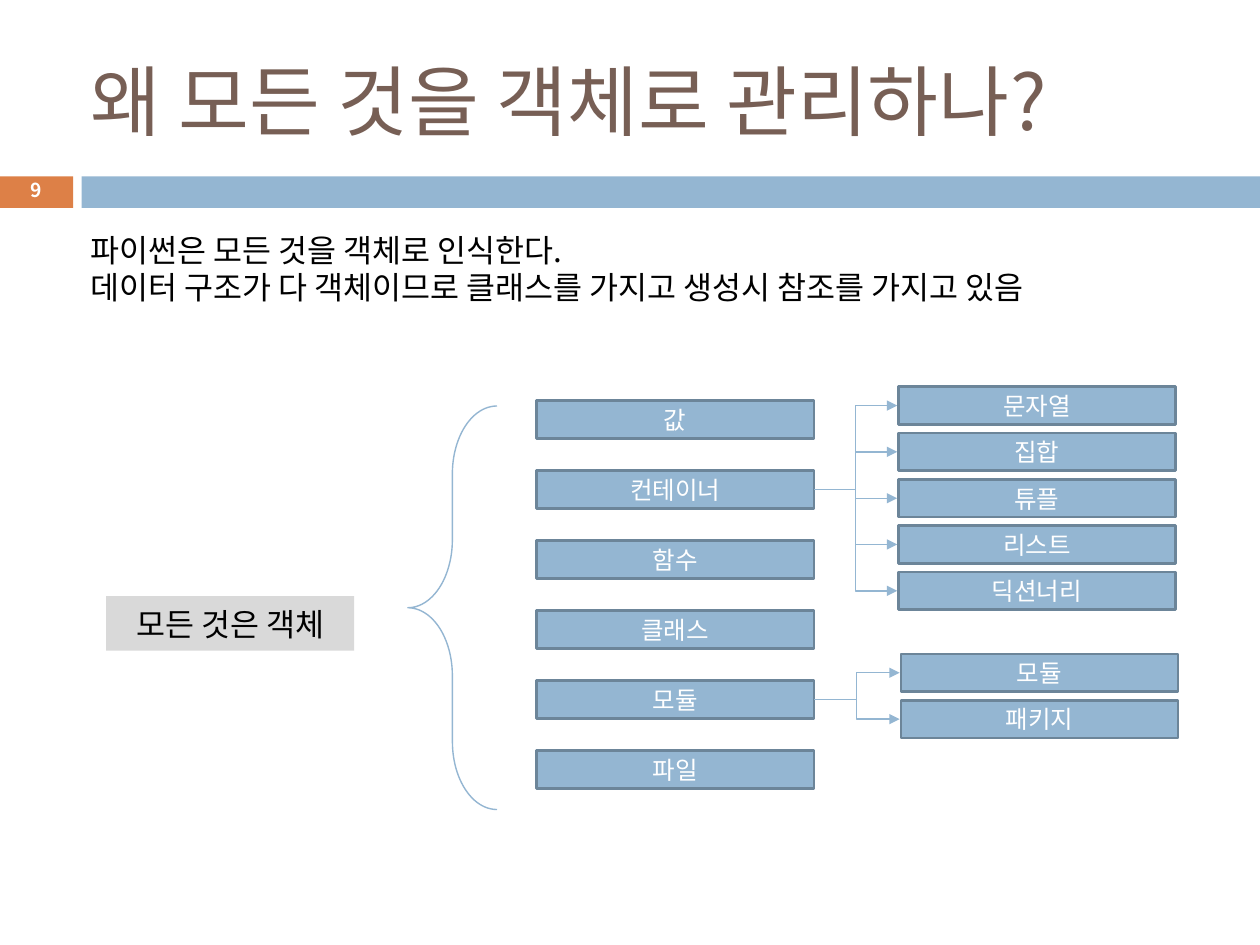
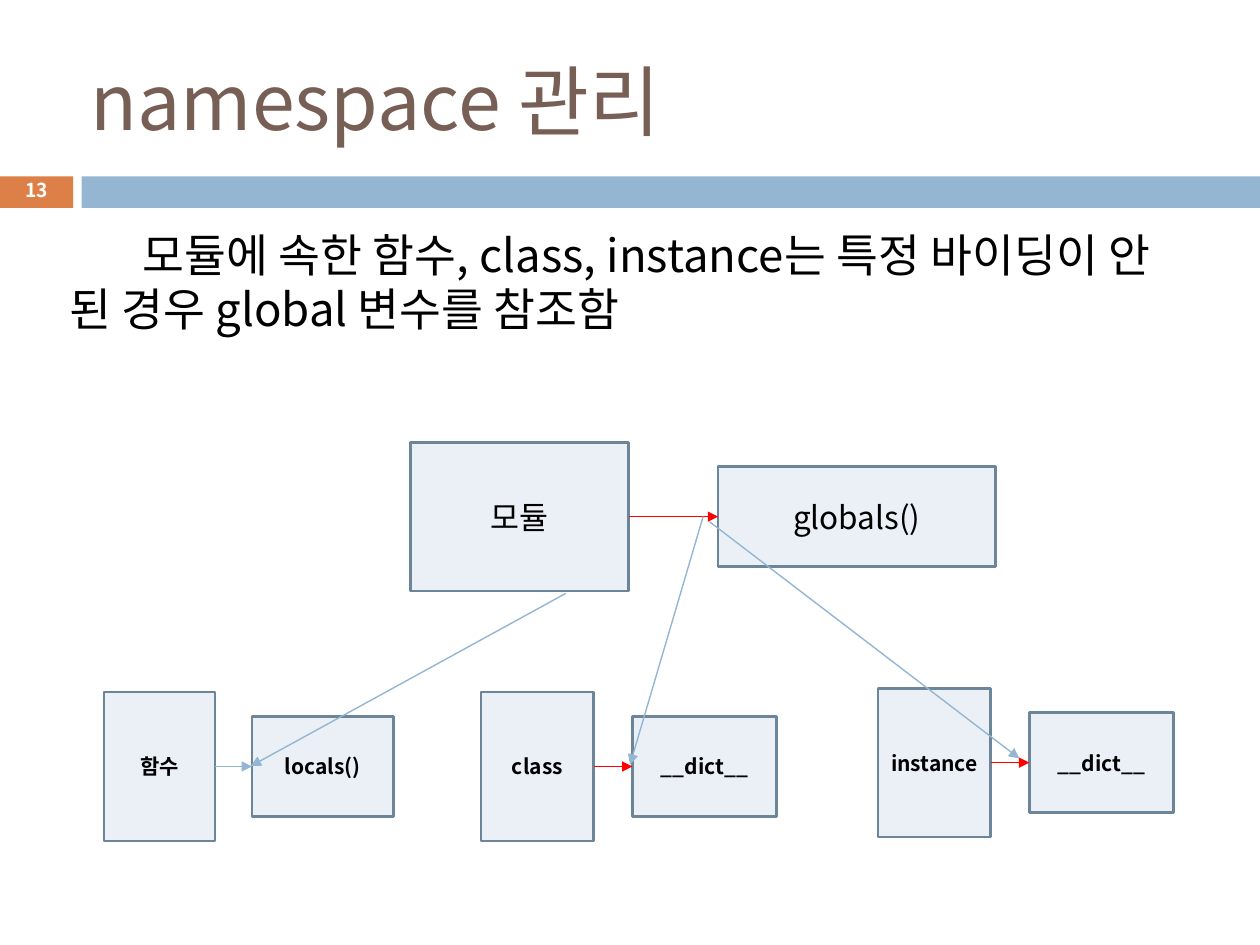
from lxml.etree import SubElement
from pptx import Presentation
from pptx.dml.color import RGBColor
from pptx.enum.shapes import MSO_CONNECTOR, MSO_SHAPE
from pptx.enum.text import MSO_ANCHOR, MSO_AUTO_SIZE, PP_ALIGN
from pptx.oxml.ns import qn
from pptx.util import Pt

FONT = "Noto Sans CJK KR"
BLUE, ORANGE, BROWN, EDGE = "94B6D2", "DD8047", "775F55", "6C8599"
PALE, GREY, RED, BLACK, WHITE = "EAF0F6", "D9D9D9", "FF0000", "000000", "FFFFFF"
rgb = RGBColor.from_string


def write(sp, lines, size, color, bold=False, align=PP_ALIGN.CENTER, anchor=MSO_ANCHOR.MIDDLE):
    tf = sp.text_frame
    tf.word_wrap = True
    tf.auto_size = MSO_AUTO_SIZE.NONE
    tf.vertical_anchor = anchor
    tf.margin_left = tf.margin_right = tf.margin_top = tf.margin_bottom = Pt(3.6)
    for i, line in enumerate(lines):
        p = tf.add_paragraph() if i else tf.paragraphs[0]
        p.alignment = align
        r = p.add_run()
        r.text = line
        r.font.size = Pt(size)
        r.font.bold = bold
        r.font.color.rgb = rgb(color)
        r.font.name = FONT
        SubElement(r.font._element, qn("a:ea"), typeface=FONT)
    return tf


def draw(s, kind, x, y, w, h, fill=None, line=None, weight=1.5):
    """Add a preset shape, or, for a connector kind, an arrow spanning w by h."""
    if kind in (MSO_CONNECTOR.STRAIGHT, MSO_CONNECTOR.ELBOW) and fill is None:
        sp = s.shapes.add_connector(kind, Pt(x), Pt(y), Pt(x + w), Pt(y + h))
        SubElement(sp.line._get_or_add_ln(), qn("a:tailEnd"), type="triangle")
        sp.line.color.rgb = rgb(line)
        sp.line.width = Pt(weight)
        SubElement(sp._element.spPr, qn("a:effectLst"))
        return sp
    sp = s.shapes.add_shape(kind, Pt(x), Pt(y), Pt(w), Pt(h))
    sp.shadow.inherit = False
    if fill:
        sp.fill.solid()
        sp.fill.fore_color.rgb = rgb(fill)
    else:
        sp.fill.background()
    if line:
        sp.line.color.rgb = rgb(line)
        sp.line.width = Pt(weight)
    else:
        sp.line.fill.background()
    return sp


RECT = MSO_SHAPE.RECTANGLE
THIN = 0.79

prs = Presentation()
prs.slide_width, prs.slide_height = Pt(720), Pt(540)

# Shared frame: title, bands and slide number
slides = []
for title, number in [("왜 모든 것을 객체로 관리하나?", "9"), ("namespace 관리", "13")]:
    s = prs.slides.add_slide(prs.slide_layouts[5])
    sp = s.shapes.title
    sp.left, sp.top, sp.width, sp.height = Pt(48.2), Pt(18), Pt(642), Pt(78)
    write(sp, [title], 44, BROWN, align=PP_ALIGN.LEFT)
    draw(s, RECT, 46.6, 100.8, 673.4, 18, BLUE)
    sp = draw(s, RECT, 0, 100.8, 41.8, 18, ORANGE)
    tf = write(sp, [number], 11, WHITE, bold=True)
    tf.paragraphs[0].line_spacing = 0.8
    slides.append(s)

# Slide 1: everything is an object
s = slides[0]
sp = s.shapes.add_textbox(Pt(48.2), Pt(128.2), Pt(629), Pt(51))
write(sp, ["파이썬은 모든 것을 객체로 인식한다.",
           "데이터 구조가 다 객체이므로 클래스를 가지고 생성시 참조를 가지고 있음"],
      18, BLACK, align=PP_ALIGN.LEFT, anchor=MSO_ANCHOR.TOP)
write(draw(s, RECT, 60.6, 340.6, 141.8, 31.2, GREY), ["모든 것은 객체"], 18, BLACK)

brace = draw(s, MSO_SHAPE.LEFT_BRACE, 233, 232, 51, 230.6, line=BLUE, weight=THIN)
brace.adjustments[0] = 0.76

# Columns of boxes: left, top, pitch, labels
BOX_W, BOX_H = 158.4, 21.6
KINDS = (306.7, 229, 40, ["값", "컨테이너", "함수", "클래스", "모듈", "파일"])
CONTAINERS = (513.4, 221, 26.45, ["문자열", "집합", "튜플", "리스트", "딕션너리"])
MODULES = (514.8, 373.7, 26.45, ["모듈", "패키지"])
for x, top, pitch, labels in (KINDS, CONTAINERS, MODULES):
    for i, label in enumerate(labels):
        sp = draw(s, RECT, x, top + i * pitch, BOX_W, BOX_H, BLUE, EDGE)
        write(sp, [label], 14, WHITE)

# Branches from a kind to its members
for row, (x, top, pitch, labels) in [(1, CONTAINERS), (4, MODULES)]:
    x0 = KINDS[0] + BOX_W
    y0 = KINDS[1] + row * KINDS[2] + BOX_H / 2
    for i in range(len(labels)):
        y = top + i * pitch + BOX_H / 2
        draw(s, MSO_CONNECTOR.ELBOW, x0, y0, x - x0 - 0.7, y - y0, line=BLUE, weight=THIN)

# Slide 2: namespaces
s = slides[1]
sp = s.shapes.add_textbox(Pt(36), Pt(126), Pt(648), Pt(138))
tf = write(sp, ["모듈에 속한 함수, class, instance는 특정 바이딩이 안 된 경우 global 변수를 참조함"],
           26, BLACK, align=PP_ALIGN.LEFT, anchor=MSO_ANCHOR.TOP)
p = tf.paragraphs[0]
p.space_before = Pt(5)
p._p.get_or_add_pPr().set("indent", str(Pt(42)))

# Owner and namespace pairs: centre height, text size, arrow colour, boxes
PAIRS = [
    (295.2, 18, RED, ("모듈", 234.7, 124.6), ("globals()", 410.4, 158.4)),
    (438, 12, BLUE, ("함수", 59.4, 63.4), ("locals()", 144, 80.9)),
    (438, 12, RED, ("class", 275, 64.3), ("__dict__", 361.4, 82.4)),
    (435.8, 12, RED, ("instance", 501.8, 64.3), ("__dict__", 588.2, 82.4)),
]
for cy, size, color, owner, space in PAIRS:
    for (label, x, w), h in ((owner, 85), (space, 57)):
        sp = draw(s, RECT, x, cy - h / 2, w, h, PALE, EDGE)
        write(sp, [label], size, BLACK, bold=size == 12)
    x0 = owner[1] + owner[2]
    draw(s, MSO_CONNECTOR.STRAIGHT, x0, cy, space[1] - x0, 0, line=color, weight=THIN)

# Lookups from the module level down
for x, y, x2, y2 in [(323.3, 339.1, 143.3, 437.8),
                     (401.8, 295.2, 360, 437),
                     (405.4, 298.1, 582.5, 433.4)]:
    draw(s, MSO_CONNECTOR.STRAIGHT, x, y, x2 - x, y2 - y, line=BLUE, weight=THIN)

prs.save("out.pptx")
